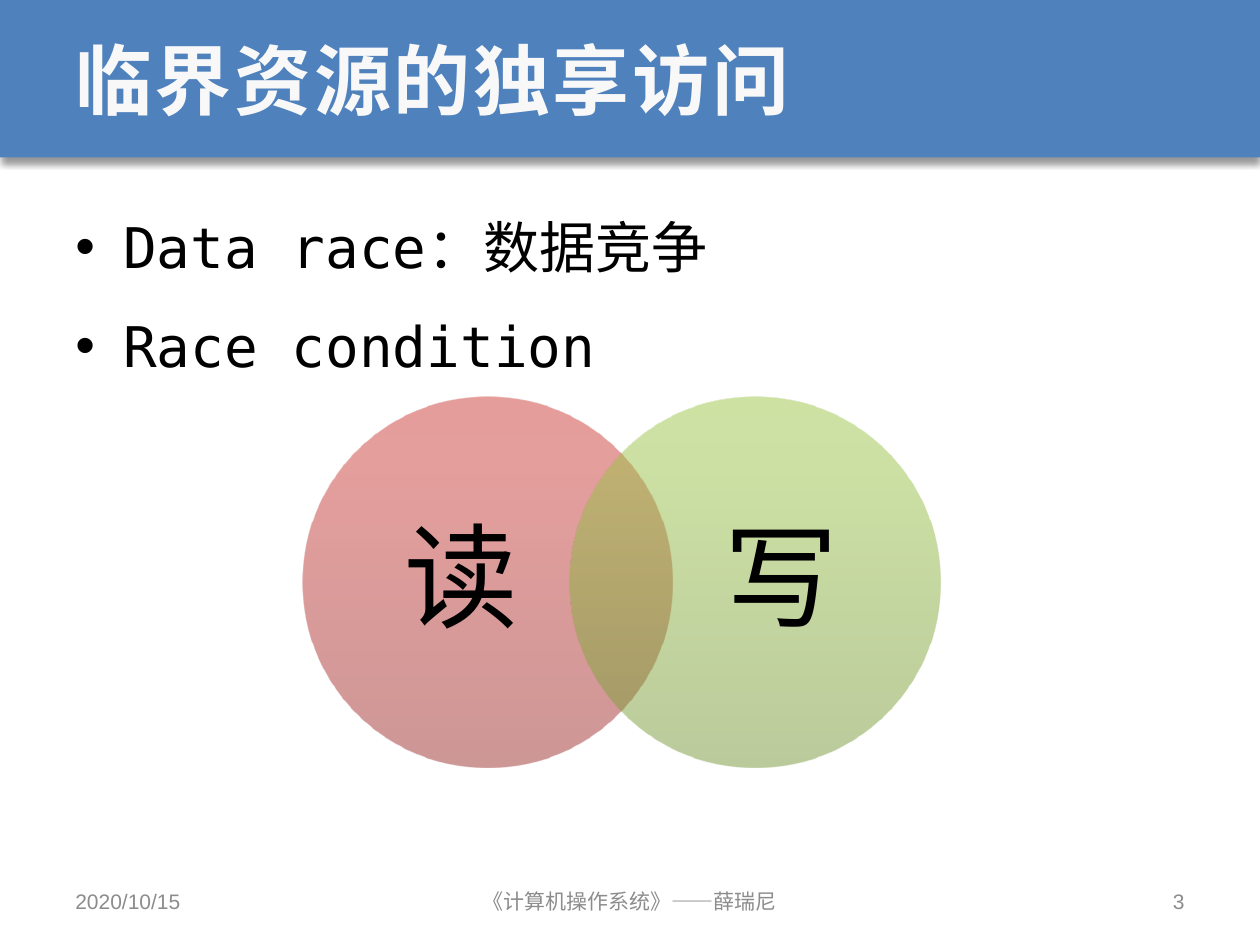
from dataclasses import dataclass

from lxml import etree
from pptx import Presentation
from pptx.dml.color import RGBColor
from pptx.enum import shapes, text
from pptx.oxml import parse_xml
from pptx.oxml.ns import nsdecls, qn
from pptx.util import Inches, Pt

TITLE = "临界资源的独享访问"
BULLETS = ["Data race：数据竞争", "Race condition"]


@dataclass(frozen=True)
class Theme:
    mono: str = "DejaVu Sans Mono"
    sans: str = "Arial"
    banner: str = "4F81BD"
    title: str = "F8F8F8"
    body: str = "000000"
    footer: str = "8C8C8C"
    title_size: float = 44
    body_size: float = 32
    venn_size: float = 65
    footer_size: float = 12


THEME = Theme()
LEFT, CENTER, RIGHT = text.PP_ALIGN.LEFT, text.PP_ALIGN.CENTER, text.PP_ALIGN.RIGHT

# text, left, width, font, alignment
FOOTERS = [
    ("2020/10/15", 0.5, 2.33, THEME.sans, LEFT),
    ("《计算机操作系统》——薛瑞尼", 2.83, 4.33, THEME.mono, CENTER),
    ("3", 7.17, 2.33, THEME.sans, RIGHT),
]

# label, circle left, label left, gradient colours from bottom to top
VENN = [
    ("读", 2.4, 2.81, ("9C2F2D", "CB3E3A", "CE3B37")),
    ("写", 4.52, 5.35, ("779737", "9BC348", "9DC746")),
]
VENN_TOP, VENN_DIAMETER = 3.15, 2.94
GRADIENT_STOPS = (0, 80, 100)


def add_plain_shape(slide, kind, *area):
    shape = slide.shapes.add_shape(kind, *map(Inches, area))
    shape.shadow.inherit = False
    shape.line.fill.background()
    return shape


def add_text(slide, area, lines, font, size, color, align=LEFT, middle=True, inset=None):
    box = slide.shapes.add_textbox(*map(Inches, area))
    frame = box.text_frame
    frame.word_wrap = True
    if middle:
        frame.vertical_anchor = text.MSO_ANCHOR.MIDDLE
    if inset is not None:
        frame.margin_left = frame.margin_right = Inches(inset)
        frame.margin_top = frame.margin_bottom = Inches(inset)
    frame.text = "\n".join(lines)
    for para in frame.paragraphs:
        para.alignment = align
        para.font.name = font
        para.font.size = Pt(size)
        para.font.color.rgb = RGBColor.from_string(color)
    return frame


def add_bullet(para, indent):
    properties = para._p.get_or_add_pPr()
    properties.set("marL", str(indent))
    properties.set("indent", str(-indent))
    font = etree.Element(qn("a:buFont"), typeface=THEME.sans)
    mark = etree.Element(qn("a:buChar"), char="•")
    properties.find(qn("a:defRPr")).addprevious(font)
    font.addnext(mark)


def add_banner(slide):
    banner = add_plain_shape(slide, shapes.MSO_SHAPE.RECTANGLE, 0, 0, 10, 1.25)
    banner.fill.solid()
    banner.fill.fore_color.rgb = RGBColor.from_string(THEME.banner)
    banner._element.spPr.find(qn("a:effectLst")).append(parse_xml(
        f'<a:outerShdw {nsdecls("a")} blurRad="{Pt(4)}" dist="{Pt(3)}" dir="5400000" '
        'rotWithShape="0"><a:srgbClr val="000000"><a:alpha val="40000"/></a:srgbClr>'
        '</a:outerShdw>'))
    frame = add_text(slide, (0.5, 0, 9, 1.25), [TITLE], THEME.mono,
                     THEME.title_size, THEME.title)
    para = frame.paragraphs[0]
    para.font.bold = True
    para.runs[0]._r.get_or_add_rPr().set("spc", "150")


def add_bullets(slide):
    frame = add_text(slide, (0.5, 1.48, 9, 5.33), BULLETS, THEME.mono,
                     THEME.body_size, THEME.body, middle=False)
    for index, para in enumerate(frame.paragraphs):
        para.line_spacing = 1.3
        if index:
            para.space_before = Pt(0.2 * THEME.body_size)
        add_bullet(para, Inches(0.38))


def add_venn_circle(slide, label, left, label_left, colors):
    circle = add_plain_shape(slide, shapes.MSO_SHAPE.OVAL, left, VENN_TOP,
                             VENN_DIAMETER, VENN_DIAMETER)
    stops = "".join(
        f'<a:gs pos="{stop * 1000}"><a:srgbClr val="{color}">'
        '<a:alpha val="50000"/></a:srgbClr></a:gs>'
        for stop, color in zip(GRADIENT_STOPS, colors))
    circle._element.spPr.find(qn("a:prstGeom")).addnext(parse_xml(
        f'<a:gradFill {nsdecls("a")} rotWithShape="1"><a:gsLst>{stops}</a:gsLst>'
        '<a:lin ang="16200000" scaled="0"/></a:gradFill>'))
    frame = add_text(slide, (label_left, 3.5, 1.7, 2.25), [label], THEME.sans,
                     THEME.venn_size, THEME.body, CENTER, inset=0)
    frame.paragraphs[0].line_spacing = 0.9


def main():
    deck = Presentation()
    deck.slide_width, deck.slide_height = Inches(10), Inches(7.5)
    slide = deck.slides.add_slide(deck.slide_layouts[6])
    add_banner(slide)
    add_bullets(slide)
    for words, left, width, font, align in FOOTERS:
        add_text(slide, (left, 6.95, width, 0.4), [words], font,
                 THEME.footer_size, THEME.footer, align)
    for circle in VENN:
        add_venn_circle(slide, *circle)
    deck.save("out.pptx")


if __name__ == "__main__":
    main()
